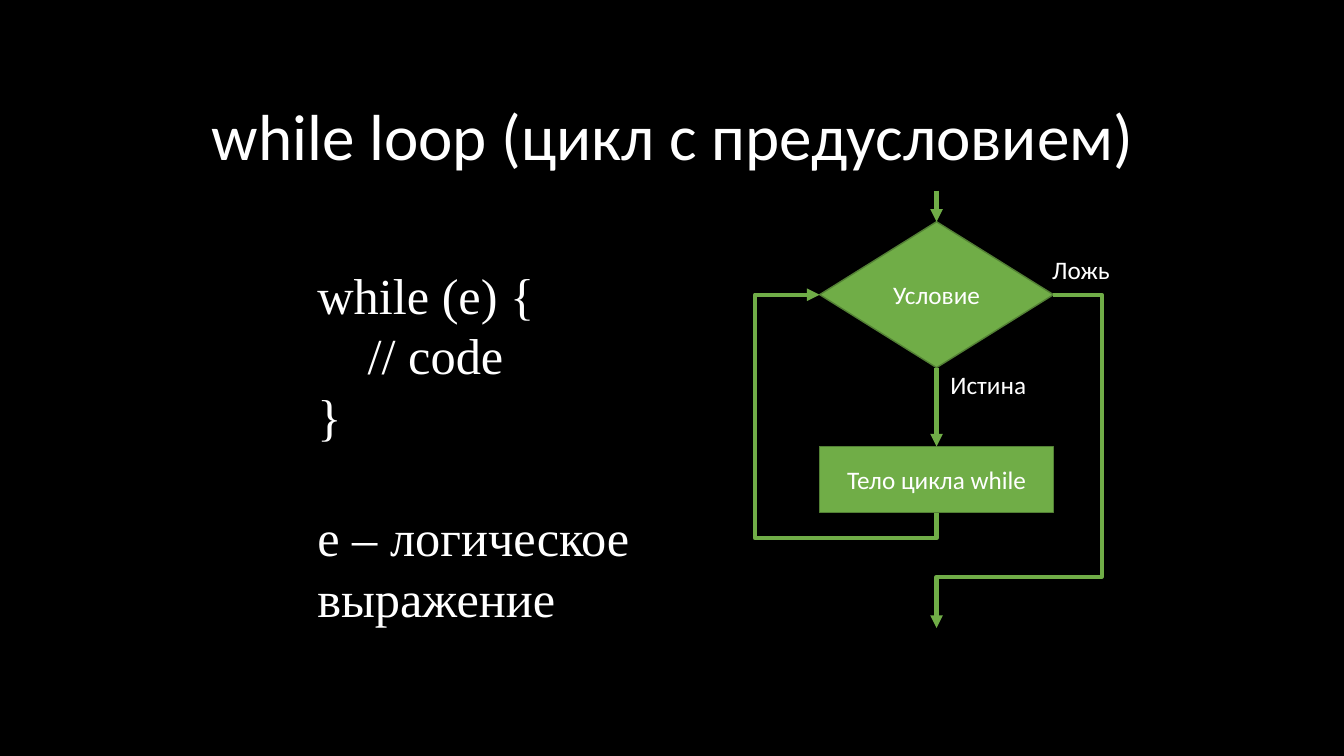
from lxml import etree
from pptx import Presentation
from pptx.dml.color import RGBColor
from pptx.enum.shapes import MSO_CONNECTOR, MSO_SHAPE
from pptx.enum.text import MSO_ANCHOR, MSO_AUTO_SIZE, PP_ALIGN
from pptx.oxml.ns import qn
from pptx.util import Pt

STRAIGHT, ELBOW = MSO_CONNECTOR.STRAIGHT, MSO_CONNECTOR.ELBOW
DIAMOND, RECTANGLE = MSO_SHAPE.DIAMOND, MSO_SHAPE.RECTANGLE
TOP, MIDDLE, BOTTOM = MSO_ANCHOR.TOP, MSO_ANCHOR.MIDDLE, MSO_ANCHOR.BOTTOM
LEFT, CENTER = PP_ALIGN.LEFT, PP_ALIGN.CENTER
FIT_SHAPE = MSO_AUTO_SIZE.SHAPE_TO_FIT_TEXT

BLACK, WHITE, GREEN, DARK_GREEN = "000000", "FFFFFF", "70AD47", "538035"
SANS, SERIF = "Calibri", "Times New Roman"

TITLE = "while loop (цикл с предусловием)"
CODE = ["while (e) {", "\t// code", "}"]
EXPLANATION = "e – логическое выражение"
CONDITION, BODY = "Условие", "Тело цикла while"
BRANCHES = [  # text, left, top, width
    ("Ложь", 744.5, 177.8, 56.2),
    ("Истина", 671.8, 260.6, 69.1),
]

# Flowchart geometry
AXIS, NODE_W = 669, 167
CONDITION_TOP, CONDITION_H = 158.4, 104.2
BODY_TOP, BODY_H = 319, 47.2
ENTRY_TOP, EXIT_BOTTOM = 136.1, 448.6
LOOP_X, LOOP_Y = 539.4, 384.4
EXIT_X, EXIT_Y = 787, 412


def color(hex_code):
    return RGBColor.from_string(hex_code)


def write(frame, lines, size, font=SANS, align=LEFT, anchor=TOP):
    frame.text = "\n".join(lines)
    frame.vertical_anchor = anchor
    for paragraph in frame.paragraphs:
        paragraph.alignment = align
        for run in paragraph.runs:
            run.font.size = Pt(size)
            run.font.name = font
            run.font.color.rgb = color(WHITE)


def add_text(slide, box, lines, size, wrap=True, **style):
    frame = slide.shapes.add_textbox(*map(Pt, box)).text_frame
    write(frame, lines, size, **style)
    frame.word_wrap = wrap
    return frame


def add_node(slide, kind, top, height, label):
    node = slide.shapes.add_shape(
        kind, Pt(AXIS - NODE_W / 2), Pt(top), Pt(NODE_W), Pt(height))
    node.shadow.inherit = False
    node.fill.solid()
    node.fill.fore_color.rgb = color(GREEN)
    node.line.color.rgb = color(DARK_GREEN)
    node.line.width = Pt(1)
    write(node.text_frame, [label], 18, align=CENTER, anchor=MIDDLE)


def add_arrow(slide, start, end, kind=STRAIGHT):
    arrow = slide.shapes.add_connector(kind, *map(Pt, start + end))
    arrow.line.color.rgb = color(GREEN)
    arrow.line.width = Pt(3)
    properties = arrow.element.spPr
    etree.SubElement(properties.find(qn("a:ln")), qn("a:tailEnd"), type="triangle")
    etree.SubElement(properties, qn("a:effectLst"))
    return properties


def add_bent_arrow(slide, start, end, bends, quarter_turn=False):
    """Four-segment arrow; bends are fractions of its unrotated width and height."""
    if quarter_turn:
        mid_x, mid_y = (start[0] + end[0]) / 2, (start[1] + end[1]) / 2
        start, end = [(mid_x + y - mid_y, mid_y - x + mid_x) for x, y in (start, end)]
    properties = add_arrow(slide, start, end, ELBOW)
    if quarter_turn:
        properties.find(qn("a:xfrm")).set("rot", "5400000")
    geometry = properties.find(qn("a:prstGeom"))
    geometry.set("prst", "bentConnector4")
    guides = geometry.find(qn("a:avLst"))
    for number, bend in enumerate(bends, 1):
        etree.SubElement(guides, qn("a:gd"), name=f"adj{number}",
                         fmla=f"val {round(bend * 100000)}")


def add_flowchart(slide):
    condition_bottom = CONDITION_TOP + CONDITION_H
    condition_mid = CONDITION_TOP + CONDITION_H / 2
    body_bottom = BODY_TOP + BODY_H
    left, right = AXIS - NODE_W / 2, AXIS + NODE_W / 2

    add_node(slide, DIAMOND, CONDITION_TOP, CONDITION_H, CONDITION)
    add_node(slide, RECTANGLE, BODY_TOP, BODY_H, BODY)
    add_arrow(slide, (AXIS, ENTRY_TOP), (AXIS, CONDITION_TOP))
    add_arrow(slide, (AXIS, condition_bottom), (AXIS, BODY_TOP))

    loop_bends = ((LOOP_Y - body_bottom) / (condition_mid - body_bottom),
                  (AXIS - LOOP_X) / (AXIS - left))
    add_bent_arrow(slide, (AXIS, body_bottom), (left, condition_mid),
                   loop_bends, quarter_turn=True)
    exit_bends = ((EXIT_X - right) / (AXIS - right),
                  (EXIT_Y - condition_mid) / (EXIT_BOTTOM - condition_mid))
    add_bent_arrow(slide, (right, condition_mid), (AXIS, EXIT_BOTTOM), exit_bends)

    for text, x, y, width in BRANCHES:
        frame = add_text(slide, (x, y, width, 29), [text], 18, wrap=False)
        frame.auto_size = FIT_SHAPE


def main():
    deck = Presentation()
    deck.slide_width, deck.slide_height = Pt(960), Pt(540)
    slide = deck.slides.add_slide(deck.slide_layouts[6])
    slide.background.fill.solid()
    slide.background.fill.fore_color.rgb = color(BLACK)

    title = add_text(slide, (125.3, 34.6, 710, 91.4), [TITLE], 46.5,
                     align=CENTER, anchor=BOTTOM)
    title.paragraphs[0].line_spacing = 0.7

    code = add_text(slide, (219.6, 185, 296, 269.3), CODE + [EXPLANATION], 36, font=SERIF)
    code.auto_size = FIT_SHAPE
    code.paragraphs[-1].space_before = Pt(43.5)

    add_flowchart(slide)
    deck.save("out.pptx")


if __name__ == "__main__":
    main()
